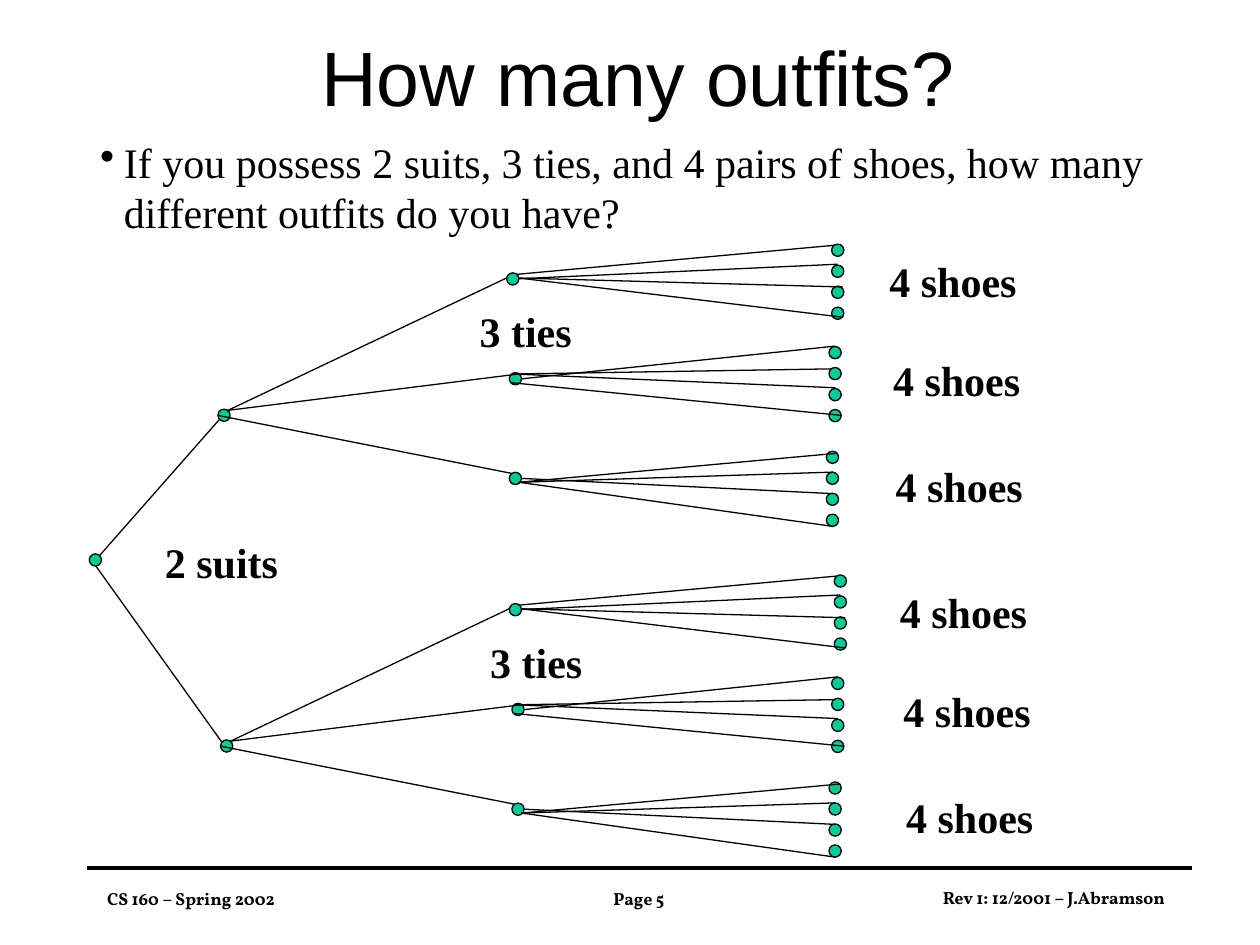
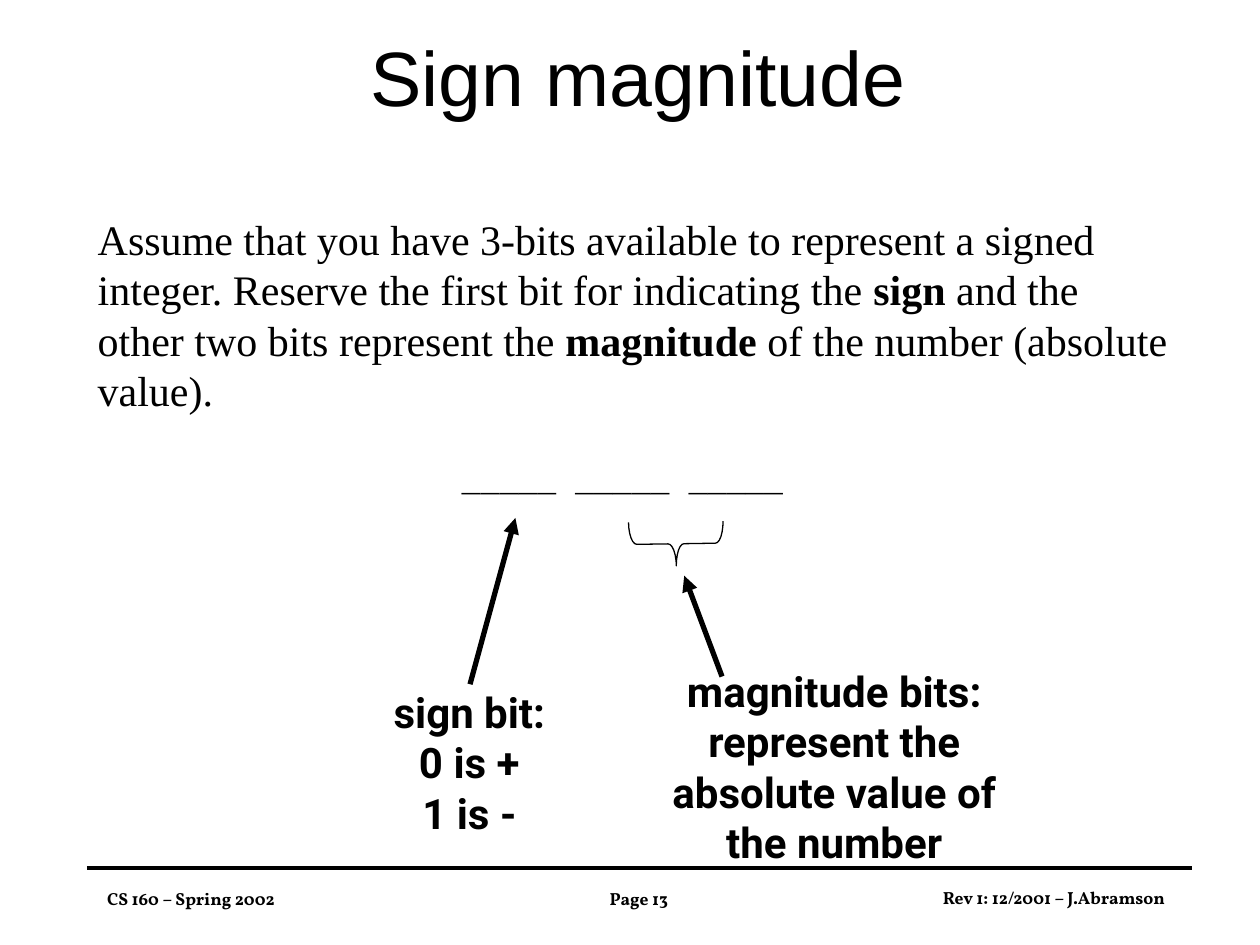
from lxml.etree import SubElement
from pptx import Presentation
from pptx.dml.color import RGBColor
from pptx.enum.shapes import MSO_CONNECTOR, MSO_SHAPE
from pptx.enum.text import MSO_ANCHOR, PP_ALIGN
from pptx.oxml.ns import qn
from pptx.util import Pt

BLACK = "000000"
NODE_GREEN = "00CC99"
TITLE_FONT = "Arial"
BODY_FONT = "Times New Roman"
CODE_FONT = "Courier New"
LABEL_FONT = "Roboto"
FOOTER_FONT = "Vollkorn"

NODE_SIZE = 7
SHOE_STEP = 12
SUIT_NODE = (0, 94.3)
TIE_NODES = [(165, 16.4), (166.5, 73.4), (166.5, 130.4)]
SHOE_COLUMNS = [(350.7, 0), (349.2, 58.5), (347.7, 118.3)]
SHOE_LABELS = [(376.6, 3), (378.7, 59.8), (380.2, 120.2)]
TIE_LABEL = (142.5, 31.5)
SUIT_TO_TIES = [
    (5.8, 95, 164.9, 19.4),
    (5.8, 95, 172.1, 74.2),
    (0, 97.9, 167.8, 131),
]
TIES_TO_SHOES = [
    (170.6, 17.3, 352.1, 0.7),
    (172.1, 19.8, 354.2, 11.5),
    (172.1, 19.4, 357.1, 24.5),
    (172.1, 19.4, 357.1, 41.8),
    (173.5, 77, 352.8, 58.3),
    (172.1, 74.2, 350.6, 71.3),
    (167.8, 74.2, 352.8, 82.1),
    (167.8, 79.2, 356.4, 97.9),
    (172.1, 136.1, 354.2, 119.5),
    (172.1, 136.1, 351.4, 130.3),
    (173.5, 133.9, 351.4, 142.6),
    (172.1, 136.1, 351.4, 161.3),
]


def color(hex_string):
    """Turn a hex string into a colour."""
    return RGBColor.from_string(hex_string)


def format_paragraph(paragraph, font, size, bold=False, align=PP_ALIGN.LEFT):
    """Give a paragraph its alignment and all its runs one font."""
    paragraph.alignment = align
    for run in paragraph.runs:
        run.font.name = font
        run.font.size = Pt(size)
        run.font.bold = bold
        run.font.color.rgb = color(BLACK)


def add_text(slide, box, text, font, size, bold=False, align=PP_ALIGN.LEFT, wrap=True):
    """Add a text box and return its text frame."""
    frame = slide.shapes.add_textbox(*map(Pt, box)).text_frame
    frame.word_wrap = wrap
    frame.text = text
    for paragraph in frame.paragraphs:
        format_paragraph(paragraph, font, size, bold, align)
    return frame


def add_line(slide, start_x, start_y, end_x, end_y, width=0.75, arrow=False):
    """Add a straight black line, with an arrowhead at its end if asked."""
    connector = slide.shapes.add_connector(
        MSO_CONNECTOR.STRAIGHT, Pt(start_x), Pt(start_y), Pt(end_x), Pt(end_y))
    connector.line.width = Pt(width)
    connector.line.color.rgb = color(BLACK)
    if arrow:
        SubElement(connector.line._get_or_add_ln(), qn("a:tailEnd"), type="triangle")
    SubElement(connector._element.spPr, qn("a:effectLst"))


def add_node(slide, left, top):
    """Add one round node of the tree."""
    node = slide.shapes.add_shape(
        MSO_SHAPE.OVAL, Pt(left), Pt(top), Pt(NODE_SIZE), Pt(NODE_SIZE))
    node.shadow.inherit = False
    node.fill.solid()
    node.fill.fore_color.rgb = color(NODE_GREEN)
    node.line.color.rgb = color(BLACK)
    node.line.width = Pt(0.75)


def add_footer(slide, left, top, page):
    """Add the footer rule and its three texts."""
    add_line(slide, left, top, left + 631.5, top, 2)
    entries = [
        (4.5, 8, 198, "CS 160 – Spring 2002", PP_ALIGN.LEFT),
        (274.3, 8, 82, f"Page {page}", PP_ALIGN.CENTER),
        (460, 7.2, 163, "Rev 1: 12/2001 – J.Abramson", PP_ALIGN.RIGHT),
    ]
    for offset_x, offset_y, width, text, align in entries:
        box = (left + offset_x, top + offset_y, width, 20)
        add_text(slide, box, text, FOOTER_FONT, 10, True, align)


def add_base_slide(presentation, title, page):
    """Add a blank slide with the shared title and footer."""
    slide = presentation.slides.add_slide(presentation.slide_layouts[6])
    add_footer(slide, 49.7, 496, page)
    frame = add_text(slide, (53.3, 16.5, 622.8, 53.3), title, TITLE_FONT, 44,
                     align=PP_ALIGN.CENTER)
    frame.vertical_anchor = MSO_ANCHOR.MIDDLE
    return slide


def add_suit_branch(slide, left, top, label_shift):
    """Add one suit with its three ties and their four shoes each."""
    shoes = [(x, y + SHOE_STEP * row) for x, y in SHOE_COLUMNS for row in range(4)]
    for x, y in [SUIT_NODE, *shoes, *TIE_NODES]:
        add_node(slide, left + x, top + y)
    for start_x, start_y, end_x, end_y in SUIT_TO_TIES + TIES_TO_SHOES:
        add_line(slide, left + start_x, top + start_y, left + end_x, top + end_y)
    labels = [(TIE_LABEL, 67, "3 ties")]
    labels += [(position, 87, "4 shoes") for position in SHOE_LABELS]
    for (x, y), width, text in labels:
        add_text(slide, (left + x + label_shift, top + y, width, 36), text,
                 BODY_FONT, 24, True, wrap=False)


def add_outfits_slide(presentation):
    """Build the slide with the outfit tree."""
    slide = add_base_slide(presentation, "How many outfits?", 5)
    question = add_text(
        slide, (50.2, 74.2, 621.4, 68.4),
        "If you possess 2 suits, 3 ties, and 4 pairs of shoes, "
        "how many different outfits do you have?", BODY_FONT, 24)
    properties = question.paragraphs[0]._p.get_or_add_pPr()
    properties.set("marL", str(Pt(13.5)))
    properties.set("indent", str(Pt(-13.5)))
    SubElement(properties, qn("a:buChar"), char="•")
    add_node(slide, 51, 316.5)
    add_line(slide, 54.7, 323.3, 126.7, 424)
    add_line(slide, 56.9, 317.5, 125.3, 239.8)
    add_suit_branch(slide, 126, 328.5, 4.5)
    add_suit_branch(slide, 124.5, 139.5, 0)
    add_text(slide, (87.1, 303.1, 79, 36), "2 suits", BODY_FONT, 24, True, wrap=False)


def add_explanation(slide, box):
    """Add the explanation with its bold terms and the three bit blanks."""
    frame = add_text(slide, box, "", BODY_FONT, 24)
    explanation = frame.paragraphs[0]
    pieces = [
        "Assume that you have 3-bits available to represent a signed integer. "
        "Reserve the first bit for indicating the ", "sign",
        " and the other two bits represent the ", "magnitude",
        " of the number (absolute value).",
    ]
    for piece in pieces:
        explanation.add_run().text = piece
    format_paragraph(explanation, BODY_FONT, 24)
    for run in explanation.runs[1::2]:
        run.font.bold = True
    explanation._p.get_or_add_pPr().set("marL", str(Pt(13.5)))
    blanks = frame.add_paragraph()
    blanks.text = "_____ _____ _____"
    format_paragraph(blanks, CODE_FONT, 18, True, PP_ALIGN.CENTER)
    blanks.space_before = Pt(29)
    blanks.line_spacing = 0.85


def add_magnitude_brace(slide, left, top, width, height):
    """Add the brace, turned so that its tip points down."""
    brace = slide.shapes.add_shape(
        MSO_SHAPE.LEFT_BRACE, Pt(left), Pt(top), Pt(width), Pt(height))
    brace.rotation = 269.2
    brace.adjustments[0] = 0.18
    brace.shadow.inherit = False
    brace.fill.background()
    brace.line.color.rgb = color(BLACK)
    brace.line.width = Pt(0.75)


def add_sign_magnitude_slide(presentation):
    """Build the slide on sign and magnitude bits."""
    slide = add_base_slide(presentation, "Sign magnitude", 13)
    add_explanation(slide, (35.3, 118.5, 640.8, 216))
    add_line(slide, 268.6, 391, 294.5, 296, 3, arrow=True)
    add_line(slide, 412.6, 386.6, 391, 329, 3, arrow=True)
    add_magnitude_brace(slide, 373.7, 283.7, 25.2, 54)
    add_text(slide, (213.1, 388.8, 110.2, 93.6), "sign bit:\v0 is +\n1 is -",
             LABEL_FONT, 24, True, PP_ALIGN.CENTER, wrap=False)
    add_text(slide, (373.7, 376.6, 206, 122.4),
             "magnitude bits:\vrepresent the absolute value of the number",
             LABEL_FONT, 24, True, PP_ALIGN.CENTER)


def main():
    """Build and save the presentation."""
    presentation = Presentation()
    presentation.slide_width = Pt(720)
    presentation.slide_height = Pt(540)
    add_outfits_slide(presentation)
    add_sign_magnitude_slide(presentation)
    presentation.save("out.pptx")


if __name__ == "__main__":
    main()
